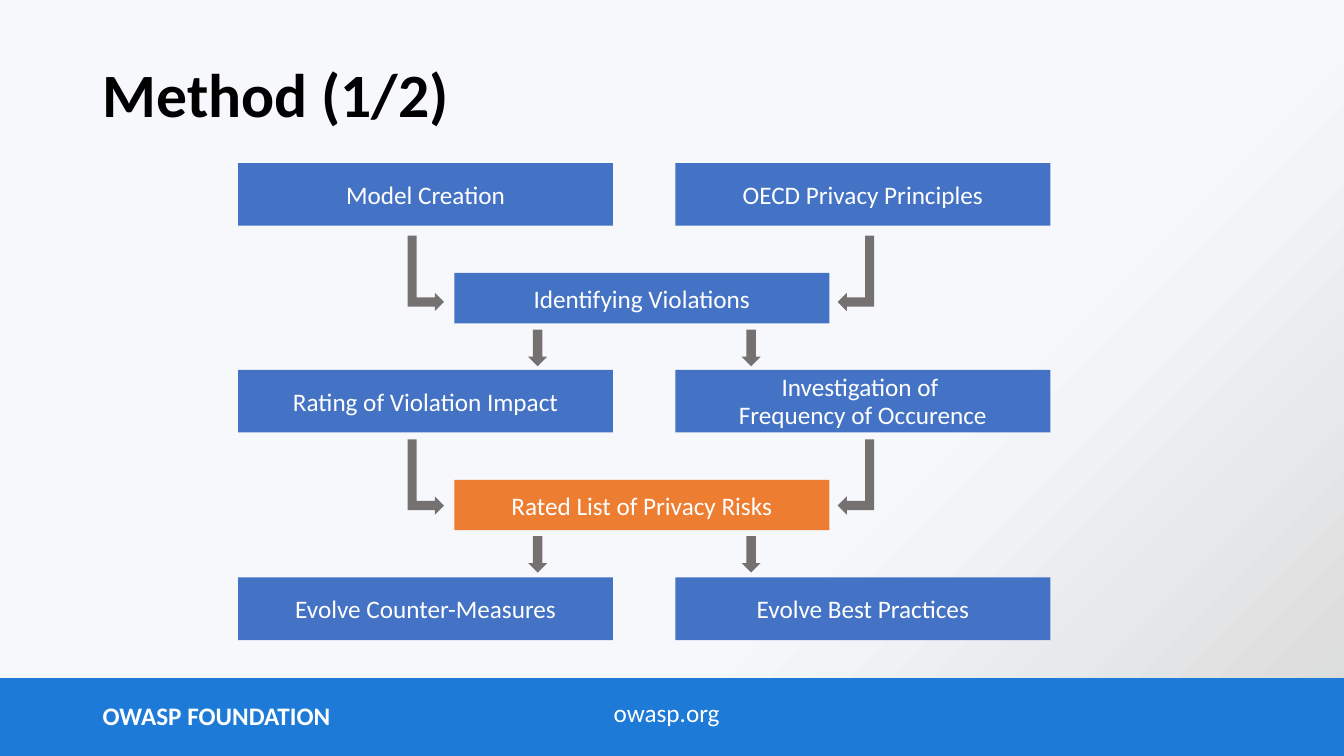
"""Builds the Method (1/2) slide: a flow from model creation to privacy measures."""
from dataclasses import dataclass

from lxml import etree
from pptx import Presentation
from pptx.dml.color import RGBColor
from pptx.enum.shapes import MSO_SHAPE as Preset
from pptx.enum.text import MSO_ANCHOR as Anchor, PP_ALIGN as Align
from pptx.oxml.ns import qn
from pptx.util import Cm, Pt


@dataclass(frozen=True)
class Theme:
    font: str = "Calibri"
    title_size: int = 44
    text_size: int = 18
    line_spacing: int = 20
    black: str = "000000"
    white: str = "FFFFFF"
    step: str = "4472C4"
    result: str = "ED7D31"
    arrow: str = "767171"
    footer: str = "1D7BD7"
    background: tuple = ((0.65, "F6F8FC"), (1, "D9D9D9"))


theme = Theme()
presentation = Presentation()
presentation.slide_width, presentation.slide_height = Cm(33.87), Cm(19.05)
slide = presentation.slides.add_slide(presentation.slide_layouts[6])


def add_filled(preset, left, top, width, height, color):
    shape = slide.shapes.add_shape(preset, Cm(left), Cm(top), Cm(width), Cm(height))
    shape.shadow.inherit = False
    shape.fill.solid()
    shape.fill.fore_color.rgb = RGBColor.from_string(color)
    shape.line.fill.background()
    return shape


def write_text(shape, text, align=Align.CENTER, anchor=Anchor.MIDDLE,
               size=theme.text_size, color=theme.white, bold=False):
    frame = shape.text_frame
    frame.word_wrap = True
    frame.vertical_anchor = anchor
    paragraph = frame.paragraphs[0]
    paragraph.alignment = align
    for index, line in enumerate(text.split("\n")):
        if index:
            paragraph.add_line_break()
            paragraph.line_spacing = Pt(theme.line_spacing)
        run = paragraph.add_run()
        run.text = line
        run.font.name = theme.font
        run.font.size = Pt(size)
        run.font.bold = bold
        run.font.color.rgb = RGBColor.from_string(color)
    return paragraph


background = slide.background.fill
background.gradient()
for stop, (position, color) in zip(background.gradient_stops, theme.background):
    stop.position = position
    stop.color.rgb = RGBColor.from_string(color)
linear = slide.element.find(".//" + qn("a:lin"))
radial = etree.Element(qn("a:path"), {"path": "circle"})
etree.SubElement(radial, qn("a:fillToRect"), {"r": "100000", "b": "100000"})
linear.getparent().replace(linear, radial)

add_filled(Preset.RECTANGLE, 0, 17.09, 33.87, 1.96, theme.footer)
foundation = slide.shapes.add_textbox(Cm(2.34), Cm(17.53), Cm(10), Cm(1.02))
write_text(foundation, "OWASP FOUNDATION", Align.LEFT, Anchor.TOP, bold=True)
website = slide.shapes.add_textbox(Cm(0.71), Cm(17.45), Cm(32.18), Cm(1.02))
write_text(website, "owasp.org", anchor=Anchor.TOP)
title = slide.shapes.add_textbox(Cm(2.34), Cm(0.61), Cm(29.21), Cm(3.68))
heading = write_text(title, "Method (1/2)", Align.LEFT, size=theme.title_size,
                     color=theme.black, bold=True)
heading.line_spacing = 0.9

BOX_WIDTH = 9.45
PAIR_LEFTS = (6, 17.02)
boxes = []
for top, pair in (
    (4.11, ("Model Creation", "OECD Privacy Principles")),
    (9.32, ("Rating of Violation Impact", "Investigation of \nFrequency of Occurence")),
    (14.55, ("Evolve Counter-Measures", "Evolve Best Practices")),
):
    for left, text in zip(PAIR_LEFTS, pair):
        boxes.append((left, top, 1.58, theme.step, text))
boxes.append((11.45, 6.88, 1.27, theme.step, "Identifying Violations"))
boxes.append((11.45, 12.09, 1.27, theme.result, "Rated List of Privacy Risks"))

for left, top, height, color, text in boxes:
    box = add_filled(Preset.RECTANGLE, left, top, BOX_WIDTH, height, color)
    frame = box.text_frame
    frame.margin_left = frame.margin_top = frame.margin_right = frame.margin_bottom = 0
    write_text(box, text)

for bent_top, down_top in ((6.43, 8.31), (11.56, 13.51)):
    for left in (13.31, 18.69):
        add_filled(Preset.DOWN_ARROW, left, down_top, 0.48, 0.92, theme.arrow)
    for left, rotation in ((9.78, 90), (20.62, 270)):
        bent_arrow = add_filled(Preset.BENT_UP_ARROW, left, bent_top, 1.9, 0.92, theme.arrow)
        bent_arrow.rotation = rotation
        if rotation == 270:
            bent_arrow.element.spPr.find(qn("a:xfrm")).set("flipH", "1")

presentation.save("out.pptx")
